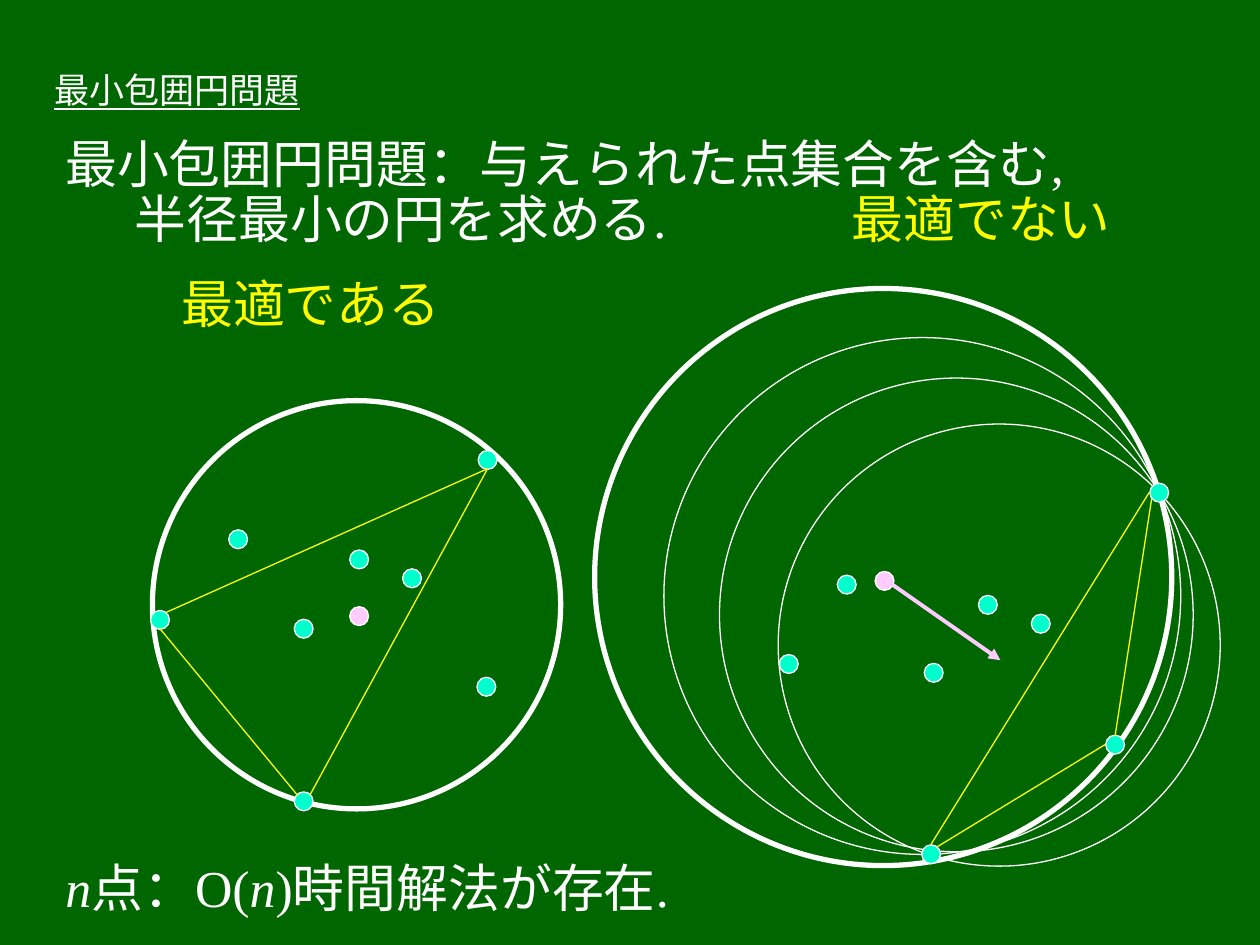
from dataclasses import dataclass
from math import dist

from lxml import etree
from pptx import Presentation
from pptx.dml.color import RGBColor
from pptx.enum.shapes import MSO_CONNECTOR, MSO_SHAPE
from pptx.enum.text import MSO_ANCHOR, MSO_AUTO_SIZE, PP_ALIGN
from pptx.oxml.ns import qn
from pptx.util import Inches, Pt

OVAL = MSO_SHAPE.OVAL
STRAIGHT = MSO_CONNECTOR.STRAIGHT
LEFT = PP_ALIGN.LEFT
MIDDLE, TOP = MSO_ANCHOR.MIDDLE, MSO_ANCHOR.TOP
FIXED = MSO_AUTO_SIZE.NONE

CELL = Inches(1)  # the slide is a grid of 10 columns by 7.5 rows
DOT_RADIUS = 0.075


@dataclass(frozen=True)
class Theme:
    font: str = "Times New Roman"
    title_size: float = 20
    body_size: float = 29.6
    background: RGBColor = RGBColor(0x00, 0x66, 0x00)
    text: RGBColor = RGBColor(0xFF, 0xFF, 0xFF)
    accent: RGBColor = RGBColor(0xFF, 0xFF, 0x00)
    point: RGBColor = RGBColor(0x00, 0xFF, 0xCC)
    center: RGBColor = RGBColor(0xFF, 0xCC, 0xFF)
    thin: float = 0.75
    medium: float = 2.25
    thick: float = 3


THEME = Theme()


def grid(cells):
    return round(cells * CELL)


def add_run(p, text, size=THEME.body_size, color=THEME.text, italic=False, underline=False):
    r = p.add_run()
    r.text = text
    font = r.font
    font.name, font.size, font.color.rgb = THEME.font, Pt(size), color
    font.italic, font.underline = italic, underline


def set_frame(tf, anchor):
    tf.word_wrap, tf.auto_size, tf.vertical_anchor = True, FIXED, anchor


def set_tab(p, col):
    tabs = etree.SubElement(p._p.get_or_add_pPr(), qn("a:tabLst"))
    etree.SubElement(tabs, qn("a:tab"), pos=str(grid(col)), algn="l")


def format_paragraph(p, indent=0, before=0, spacing=1.0):
    p.alignment, p.line_spacing, p.space_before = LEFT, spacing, Pt(before)
    p._p.get_or_add_pPr().set("marL", str(grid(indent)))


def add_title(s, text):
    title = s.shapes.title
    title.left, title.top = grid(0.33), grid(0.5)
    title.width, title.height = grid(8.83), grid(0.42)
    tf = title.text_frame
    set_frame(tf, MIDDLE)
    p = tf.paragraphs[0]
    p.alignment = LEFT
    add_run(p, text, THEME.title_size, underline=True)


def add_body(s):
    tf = s.shapes.add_textbox(grid(0.42), grid(1), grid(9.25), grid(6.4)).text_frame
    set_frame(tf, TOP)

    p = tf.paragraphs[0]
    format_paragraph(p)
    add_run(p, "最小包囲円問題：与えられた点集合を含む,")

    p = tf.add_paragraph()
    format_paragraph(p, indent=0.55, before=8, spacing=0.6)
    set_tab(p, 5.69)
    add_run(p, "半径最小の円を求める.\t")
    add_run(p, "最適でない", color=THEME.accent)

    p = tf.add_paragraph()
    format_paragraph(p, indent=0.92, before=8, spacing=1.2)
    add_run(p, "最適である", color=THEME.accent)

    p = tf.add_paragraph()
    format_paragraph(p, before=298)
    for text, italic in (("n", True), ("点：O(", False), ("n", True), (")時間解法が存在.", False)):
        add_run(p, text, italic=italic)


def add_circle(shapes, center, radius, width=THEME.thin, fill=None):
    x, y = center
    sp = shapes.add_shape(OVAL, grid(x - radius), grid(y - radius), grid(2 * radius), grid(2 * radius))
    sp.shadow.inherit = False
    if fill is None:
        sp.fill.background()
    else:
        sp.fill.solid()
        sp.fill.fore_color.rgb = fill
    sp.line.color.rgb, sp.line.width = THEME.text, Pt(width)


def add_line(shapes, start, end, color, width=THEME.thin, arrow=False):
    line = shapes.add_connector(STRAIGHT, *map(grid, (*start, *end)))
    line.line.color.rgb, line.line.width = color, Pt(width)
    if arrow:
        etree.SubElement(line.line._get_or_add_ln(), qn("a:tailEnd"), type="triangle")
    etree.SubElement(line._element.spPr, qn("a:effectLst"))


def add_points(shapes, points, edges, center):
    """Draw the point set, the triangle of support points and the circle's center."""
    for point in points:
        add_circle(shapes, point, DOT_RADIUS, fill=THEME.point)
    for start, end in edges:
        add_line(shapes, start, end, THEME.accent)
    add_circle(shapes, center, DOT_RADIUS, fill=THEME.center)


def add_optimal_figure(s):
    shapes = s.shapes.add_group_shape().shapes
    add_circle(shapes, (2.83, 4.8), 1.62, THEME.thick)
    points = [(3.87, 3.65), (2.41, 6.36), (1.27, 4.92), (2.41, 4.99),
              (1.89, 4.28), (3.86, 5.45), (2.85, 4.44), (3.27, 4.59)]
    edges = [((1.32, 4.86), (3.87, 3.72)), ((3.87, 3.72), (2.46, 6.31)),
             ((1.27, 4.99), (2.36, 6.31))]
    add_points(shapes, points, edges, (2.85, 4.89))


def add_shrinking_figure(s):
    """Circles through one fixed point, shrinking as their center moves."""
    shapes = s.shapes.add_group_shape().shapes
    pivot = (9.2, 3.91)
    centers = [(7.01, 4.58), (7.32, 4.73), (7.59, 4.88), (7.93, 5.12)]
    for i, center in enumerate(centers):
        add_circle(shapes, center, dist(center, pivot), THEME.thin if i else THEME.thick)
    points = [pivot, (7.39, 6.78), (6.26, 5.27), (7.41, 5.34),
              (6.72, 4.64), (8.85, 5.91), (7.84, 4.8), (8.26, 4.95)]
    edges = [((9.12, 3.91), (7.39, 6.7)), ((7.44, 6.72), (8.77, 5.91)),
             ((9.14, 3.96), (8.85, 5.84))]
    add_points(shapes, points, edges, (7.02, 4.61))
    add_line(shapes, (7.04, 4.61), (7.94, 5.24), THEME.center, THEME.medium, arrow=True)


def main():
    prs = Presentation()
    prs.slide_width, prs.slide_height = grid(10), grid(7.5)
    s = prs.slides.add_slide(prs.slide_layouts.get_by_name("Title Only"))
    s.background.fill.solid()
    s.background.fill.fore_color.rgb = THEME.background
    add_title(s, "最小包囲円問題")
    add_body(s)
    add_optimal_figure(s)
    add_shrinking_figure(s)
    prs.save("out.pptx")


if __name__ == "__main__":
    main()
